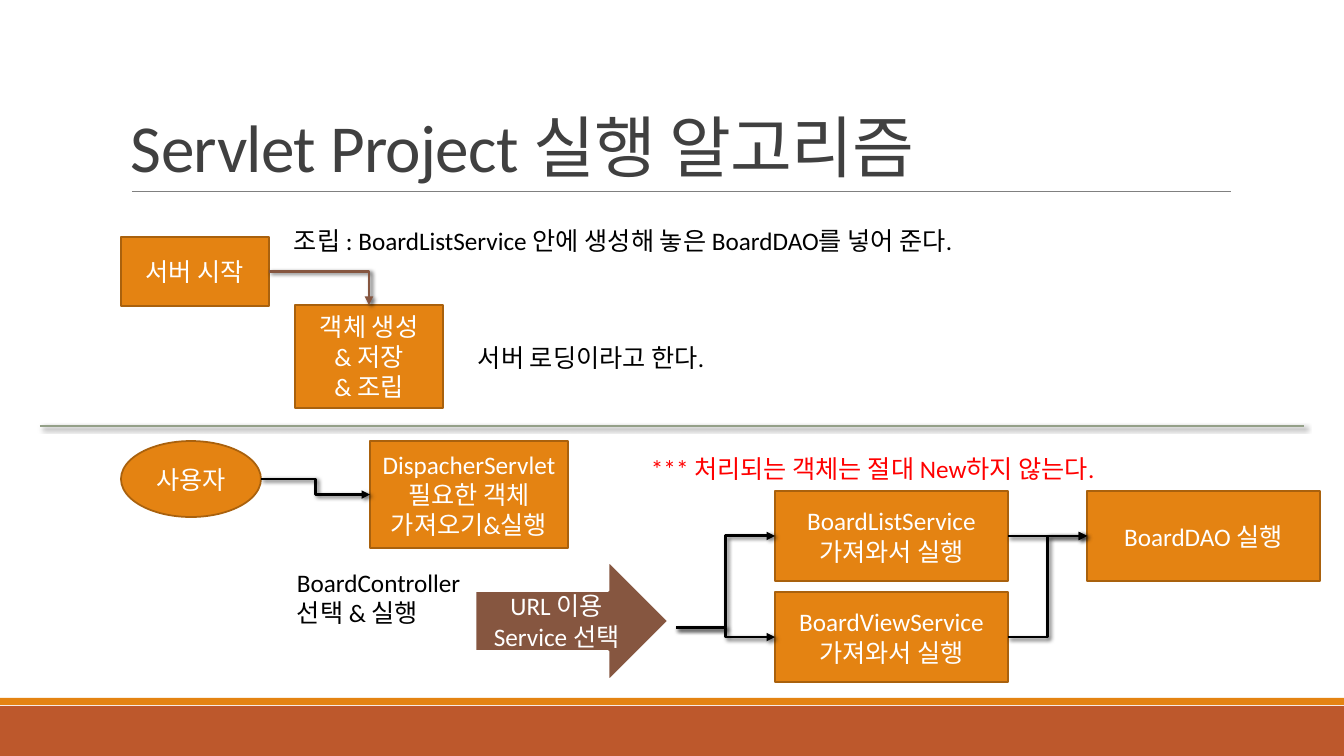
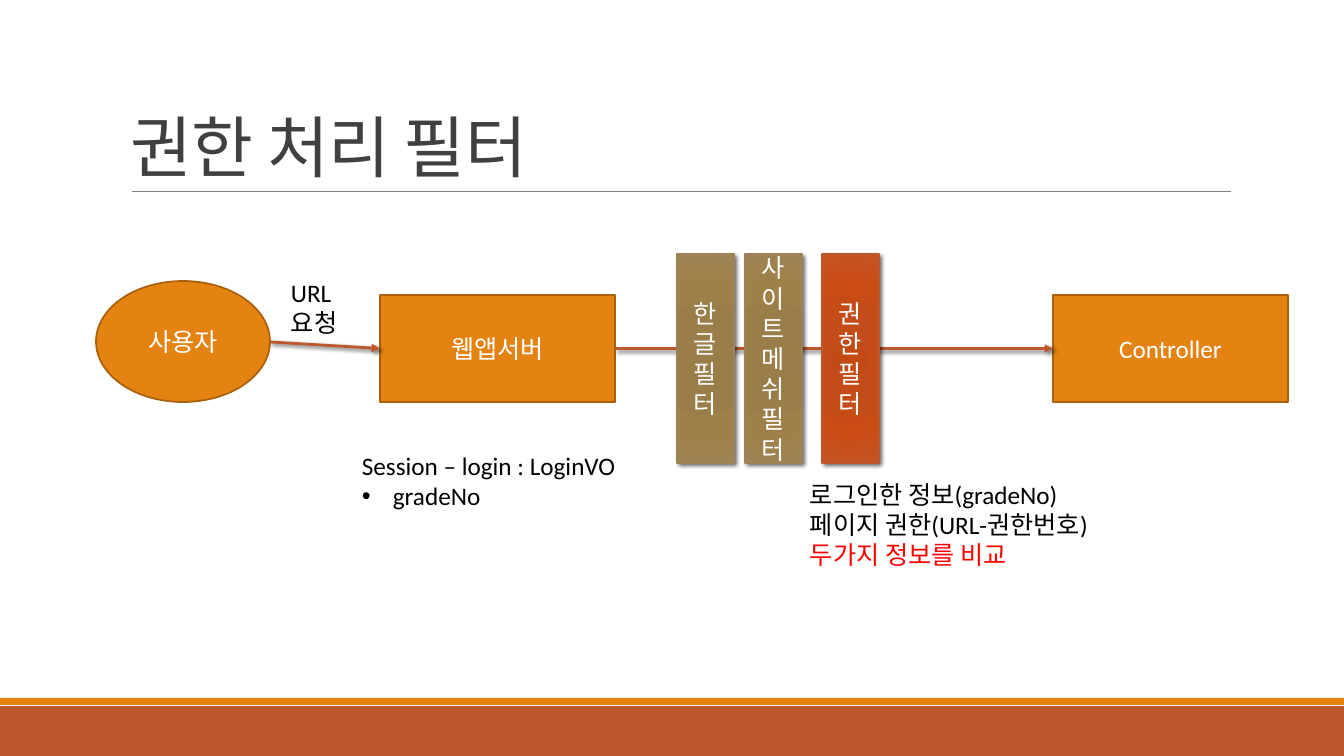
"""Build two slides on servlet flow and permission filters."""
from lxml import etree
from pptx import Presentation, oxml, util as u
from pptx.dml import color
from pptx.enum import shapes, text
from pptx.oxml import ns

SCALE = 914400 / 100.8
ORANGE, RUST, BROWN, EDGE = "E48312", "BD582C", "865640", "A9610D"
SAGE, GREY, DARK = "94A088", "808080", "404040"
BLACK, WHITE, RED = "000000", "FFFFFF", "FF0000"
TAN_STOPS = {0: "9A7D48", 34: "9A7E4A", 70: "9E8049", 100: "9E8454"}
RUST_STOPS = {0: "C44A15", 34: "C34C18", 70: "C94C15", 100: "C45525"}
BODY = {"name": "Calibri", "size": u.Pt(18)}
HEADING = {"name": "Calibri", "size": u.Pt(48)}
KIND, LINK = shapes.MSO_SHAPE, shapes.MSO_CONNECTOR
TOP, LEFT, RIGHT = 0, 1, 3


def px(n):
    """Turn pixels into EMU."""
    return u.Emu(round(n * SCALE))


def rgb(value):
    """Turn a hex string into a colour."""
    return color.RGBColor.from_string(value)


def child(parent, tag, **attrs):
    """Append a drawing element with attributes."""
    el = etree.SubElement(parent, ns.qn(tag))
    for key, value in attrs.items():
        el.set(key, str(value))
    return el


def shade(sp):
    """Give a shape or connector the soft offset shadow."""
    effects = child(sp.element.spPr, "a:effectLst")
    outer = child(effects, "a:outerShdw", blurRad=u.Pt(3), dist=u.Pt(2), dir=2700000)
    tint = child(outer, "a:srgbClr", val=BLACK)
    child(tint, "a:alpha", val=60000)


def glow(sp, stops):
    """Fill a shape with a radial gradient."""
    grad = oxml.parse_xml(f'<a:gradFill {ns.nsdecls("a")} rotWithShape="1"/>')
    stop_list = child(grad, "a:gsLst")
    for pos, value in stops.items():
        child(child(stop_list, "a:gs", pos=pos * 1000), "a:srgbClr", val=value)
    circle = child(grad, "a:path", path="circle")
    child(circle, "a:fillToRect", l=100000, t=100000, r=100000, b=100000)
    sp.element.spPr.insert(2, grad)


def write(tf, lines, ink, style=BODY, align=text.PP_ALIGN.LEFT):
    """Write one paragraph a line; a (line, colour) pair overrides the ink."""
    for i, line in enumerate(lines):
        words, tone = (line, ink) if isinstance(line, str) else line
        p = tf.paragraphs[0] if i == 0 else tf.add_paragraph()
        p.alignment = align
        r = p.add_run()
        r.text = words
        for key, value in style.items():
            setattr(r.font, key, value)
        r.font.color.rgb = rgb(tone)


def box(s, at, *lines, kind=KIND.RECTANGLE, fill=ORANGE, edge=EDGE, width=1.25, stops=None):
    """Add a filled shape with centred white text."""
    sp = s.shapes.add_shape(kind, *map(px, at))
    if stops:
        glow(sp, stops)
    else:
        sp.fill.solid()
        sp.fill.fore_color.rgb = rgb(fill)
    if edge:
        sp.line.color.rgb = rgb(edge)
        sp.line.width = u.Pt(width)
    else:
        sp.line.fill.background()
    if stops:
        shade(sp)
    else:
        sp.shadow.inherit = False
    sp.text_frame.vertical_anchor = text.MSO_ANCHOR.MIDDLE
    write(sp.text_frame, lines, WHITE, align=text.PP_ALIGN.CENTER)
    return sp


def label(s, at, *lines, ink=BLACK):
    """Add free text that does not wrap."""
    tf = s.shapes.add_textbox(*map(px, at)).text_frame
    tf.word_wrap = False
    tf.auto_size = text.MSO_AUTO_SIZE.SHAPE_TO_FIT_TEXT
    write(tf, lines, ink)
    return tf


def bullet(p):
    """Turn a paragraph into a bullet point."""
    props = p._p.get_or_add_pPr()
    props.set("marL", str(px(31)))
    props.set("indent", str(-px(31)))
    child(props, "a:buFont", typeface="Arial")
    child(props, "a:buChar", char="•")


def connect(s, start, end, ink=BLACK, kind=LINK.ELBOW, width=2, head=True, shadow=True):
    """Join two ends, each a point or a (shape, site) pair."""
    glued = [not isinstance(joint[0], int) for joint in (start, end)]
    points = [(0, 0) if g else j for g, j in zip(glued, (start, end))]
    cxn = s.shapes.add_connector(kind, *(px(n) for point in points for n in point))
    if glued[0]:
        cxn.begin_connect(*start)
    if glued[1]:
        cxn.end_connect(*end)
    cxn.line.color.rgb = rgb(ink)
    cxn.line.width = u.Pt(width)
    if head:
        child(cxn.element.spPr.get_or_add_ln(), "a:tailEnd", type="triangle")
    if shadow:
        shade(cxn)
    else:
        child(cxn.element.spPr, "a:effectLst")
    return cxn


def new_slide(prs, title):
    """Add a slide with the shared bands, rule and title."""
    s = prs.slides.add_slide(prs.slide_layouts[6])
    box(s, (0, 706, 1344, 50), fill=RUST, edge=None)
    box(s, (0, 698, 1344, 7), edge=None)
    connect(s, (132, 191), (1231, 191), GREY, LINK.STRAIGHT, 0.5, head=False, shadow=False)
    tf = s.shapes.add_textbox(*map(px, (121, 31, 1109, 160))).text_frame
    tf.word_wrap = True
    tf.vertical_anchor = text.MSO_ANCHOR.BOTTOM
    write(tf, [title], DARK, HEADING)
    p = tf.paragraphs[0]
    p.line_spacing = 0.85
    p.runs[0].font._element.set("spc", "-50")
    return s


def servlet_slide(prs):
    """Show how the servlet project runs."""
    s = new_slide(prs, "Servlet Project 실행 알고리즘")
    server = box(s, (121, 237, 148, 69), "서버 시작")
    objects = box(s, (295, 305, 148, 103), "객체 생성", "& 저장", "& 조립")
    corner = connect(s, (server, RIGHT), (objects, TOP), BROWN)
    corner.element.spPr.find(ns.qn("a:prstGeom")).set("prst", "bentConnector2")
    label(s, (284, 220, 715, 40), "조립 : BoardListService 안에 생성해 놓은 BoardDAO를 넣어 준다.")
    label(s, (468, 337, 267, 40), "서버 로딩이라고 한다.")
    connect(s, (40, 426), (1304, 426), SAGE, LINK.STRAIGHT, head=False)

    box(s, (121, 441, 140, 76), "사용자", kind=KIND.OVAL)
    dispatcher = box(s, (370, 441, 198, 107), "DispacherServlet", "필요한 객체", "가져오기&실행")
    connect(s, (261, 479), (dispatcher, LEFT))
    label(s, (287, 562, 185, 72), "BoardController", "선택 & 실행")
    box(s, (475, 560, 194, 122), "URL 이용", "Service 선택",
        kind=KIND.RIGHT_ARROW, fill=BROWN, edge=WHITE, width=2)
    dao = box(s, (1087, 491, 233, 90), "BoardDAO 실행")
    for i, name in enumerate(("BoardListService", "BoardViewService")):
        service = box(s, (775, 491 + 101 * i, 233, 90), name, "가져와서 실행")
        connect(s, (676, 628), (service, LEFT))
        connect(s, (service, RIGHT), (dao, LEFT))
    label(s, (641, 448, 498, 40), "*** 처리되는 객체는 절대 New하지 않는다.", ink=RED)


def filter_slide(prs):
    """Show the filters between server and controller."""
    s = new_slide(prs, "권한 처리 필터")
    box(s, (96, 281, 174, 121), "사용자", kind=KIND.OVAL)
    server = box(s, (380, 295, 235, 107), "웹앱서버")
    controller = box(s, (1053, 295, 235, 107), "Controller")
    connect(s, (270, 342), (server, LEFT), RUST, LINK.STRAIGHT)
    connect(s, (server, RIGHT), (controller, LEFT), RUST, LINK.STRAIGHT)
    label(s, (281, 272, 72, 72), "URL", "요청")
    session = label(s, (352, 445, 277, 72), "Session – login : LoginVO", "gradeNo")
    bullet(session.paragraphs[1])
    filters = (
        (677, "한글필터", TAN_STOPS, "9B8357"),
        (745, "사이트메쉬필터", TAN_STOPS, "9B8357"),
        (822, "권한 필터", RUST_STOPS, RUST),
    )
    for x, name, stops, edge in filters:
        box(s, (x, 254, 57, 209), name, stops=stops, edge=edge, width=1)
    label(s, (800, 474, 320, 102), "로그인한 정보(gradeNo)",
          "페이지 권한(URL-권한번호)", ("두가지 정보를 비교", RED))


def main():
    """Build and save the presentation."""
    prs = Presentation()
    prs.slide_width, prs.slide_height = px(1344), px(756)
    servlet_slide(prs)
    filter_slide(prs)
    prs.save("out.pptx")


main()
